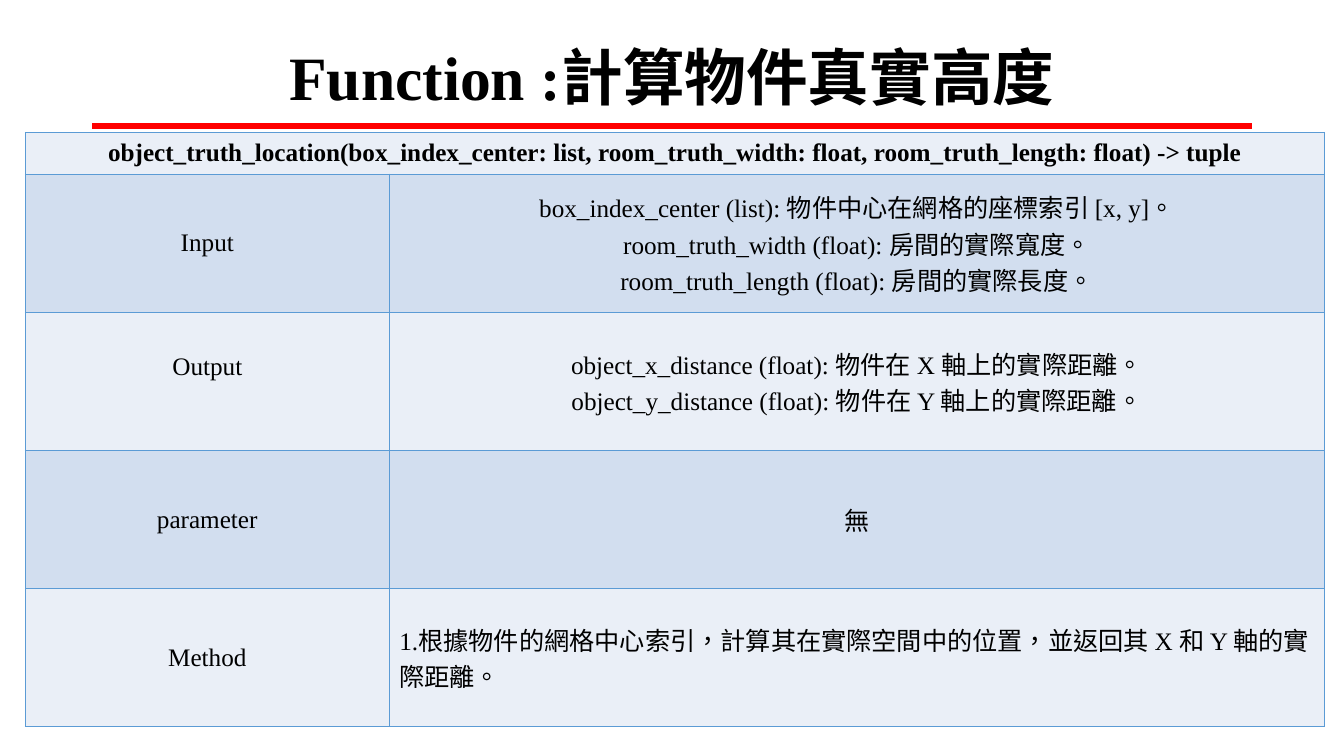
from collections import namedtuple
from dataclasses import dataclass

from lxml import etree
from pptx import Presentation
from pptx.dml.color import RGBColor
from pptx.enum.lang import MSO_LANGUAGE_ID
from pptx.enum.shapes import MSO_CONNECTOR
from pptx.enum.text import MSO_ANCHOR, PP_ALIGN
from pptx.oxml.ns import qn
from pptx.util import Cm, Pt

STRAIGHT = MSO_CONNECTOR.STRAIGHT
MIDDLE = MSO_ANCHOR.MIDDLE
CENTER, LEFT = PP_ALIGN.CENTER, PP_ALIGN.LEFT
CHINESE = MSO_LANGUAGE_ID.TRADITIONAL_CHINESE

Box = namedtuple("Box", "left top width height")


@dataclass(frozen=True)
class Theme:
    """Colours, font and sizes of the slide."""
    font: str = "Times New Roman"
    ink: str = "000000"
    rule: str = "FF0000"
    border: str = "5B9BD5"
    bands: tuple = ("EAEFF7", "D2DEEF")
    title_size: float = 44
    body_size: float = 18
    rule_width: float = 4.5
    border_width: float = 1


THEME = Theme()
TITLE = "Function :計算物件真實高度"
SIGNATURE = ("object_truth_location(box_index_center: list, room_truth_width: float, "
             "room_truth_length: float) -> tuple")
SECTIONS = [
    ("Input", ["box_index_center (list): 物件中心在網格的座標索引 [x, y]。",
               "room_truth_width (float): 房間的實際寬度。",
               "room_truth_length (float): 房間的實際長度。"], CENTER),
    ("Output", ["object_x_distance (float): 物件在 X 軸上的實際距離。",
                "object_y_distance (float): 物件在 Y 軸上的實際距離。"], CENTER),
    ("parameter", ["無"], CENTER),
    ("Method", ["1.根據物件的網格中心索引，計算其在實際空間中的位置，並返回其 X 和 Y 軸的實際距離。"], LEFT),
]


def apply(target, values):
    """Set each named attribute on the target."""
    for name, value in values.items():
        setattr(target, name, value)


def write(frame, lines, size, bold=False, align=CENTER, spacing=None):
    """Fill a text frame with one paragraph per line."""
    for index, line in enumerate(lines):
        para = frame.add_paragraph() if index else frame.paragraphs[0]
        apply(para, {"alignment": align, "line_spacing": spacing})
        span = para.add_run()
        span.text = line
        apply(span.font, {"name": THEME.font, "size": Pt(size), "bold": bold,
                          "language_id": CHINESE})
        span.font.color.rgb = RGBColor.from_string(THEME.ink)


def style_cell(cell, fill):
    """Give a cell its fill, anchor and four borders."""
    cell.vertical_anchor = MIDDLE
    properties = cell._tc.get_or_add_tcPr()
    for side in ("a:lnL", "a:lnR", "a:lnT", "a:lnB"):
        edge = etree.SubElement(properties, qn(side), w=str(Pt(THEME.border_width)))
        solid = etree.SubElement(edge, qn("a:solidFill"))
        etree.SubElement(solid, qn("a:srgbClr"), val=THEME.border)
    cell.fill.solid()
    cell.fill.fore_color.rgb = RGBColor.from_string(fill)


def add_heading(page, box):
    """Place the title with the red rule below it."""
    frame = page.shapes.add_textbox(*box).text_frame
    apply(frame, {"word_wrap": True, "vertical_anchor": MIDDLE})
    write(frame, [TITLE], THEME.title_size, bold=True, spacing=0.9)
    level = box.top + box.height + Cm(0.15)
    rule = page.shapes.add_connector(STRAIGHT, box.left, level, box.left + box.width, level)
    rule.line.color.rgb = RGBColor.from_string(THEME.rule)
    rule.line.width = Pt(THEME.rule_width)
    etree.SubElement(rule._element.spPr, qn("a:effectLst"))


def add_function_table(page, box):
    """Place the signature row and one equal row per section."""
    table = page.shapes.add_table(len(SECTIONS) + 1, 2, *box).table
    apply(table, {"first_row": False, "horz_banding": False})
    label_width, header_height = Cm(9.17), Cm(1.05)
    table.columns[0].width = label_width
    table.columns[1].width = box.width - label_width
    for index, row in enumerate(table.rows):
        row.height = (box.height - header_height) // len(SECTIONS) if index else header_height
        for cell in row.cells:
            style_cell(cell, THEME.bands[index % 2])
    header = table.cell(0, 0)
    header.merge(table.cell(0, 1))
    write(header.text_frame, [SIGNATURE], THEME.body_size, bold=True)
    for index, (label, lines, align) in enumerate(SECTIONS, 1):
        write(table.cell(index, 0).text_frame, [label], THEME.body_size)
        write(table.cell(index, 1).text_frame, lines, THEME.body_size, align=align)
        if label == "Output":
            table.cell(index, 0).margin_bottom = Cm(0.85)


def main():
    """Build the deck and save it."""
    deck = Presentation()
    apply(deck, {"slide_width": Cm(33.87), "slide_height": Cm(19.05)})
    page = deck.slides.add_slide(deck.slide_layouts[6])
    add_heading(page, Box(Cm(2.33), Cm(1.02), Cm(29.21), Cm(2.01)))
    add_function_table(page, Box(Cm(0.64), Cm(3.34), Cm(32.74), Cm(14.97)))
    deck.save("out.pptx")


if __name__ == "__main__":
    main()
